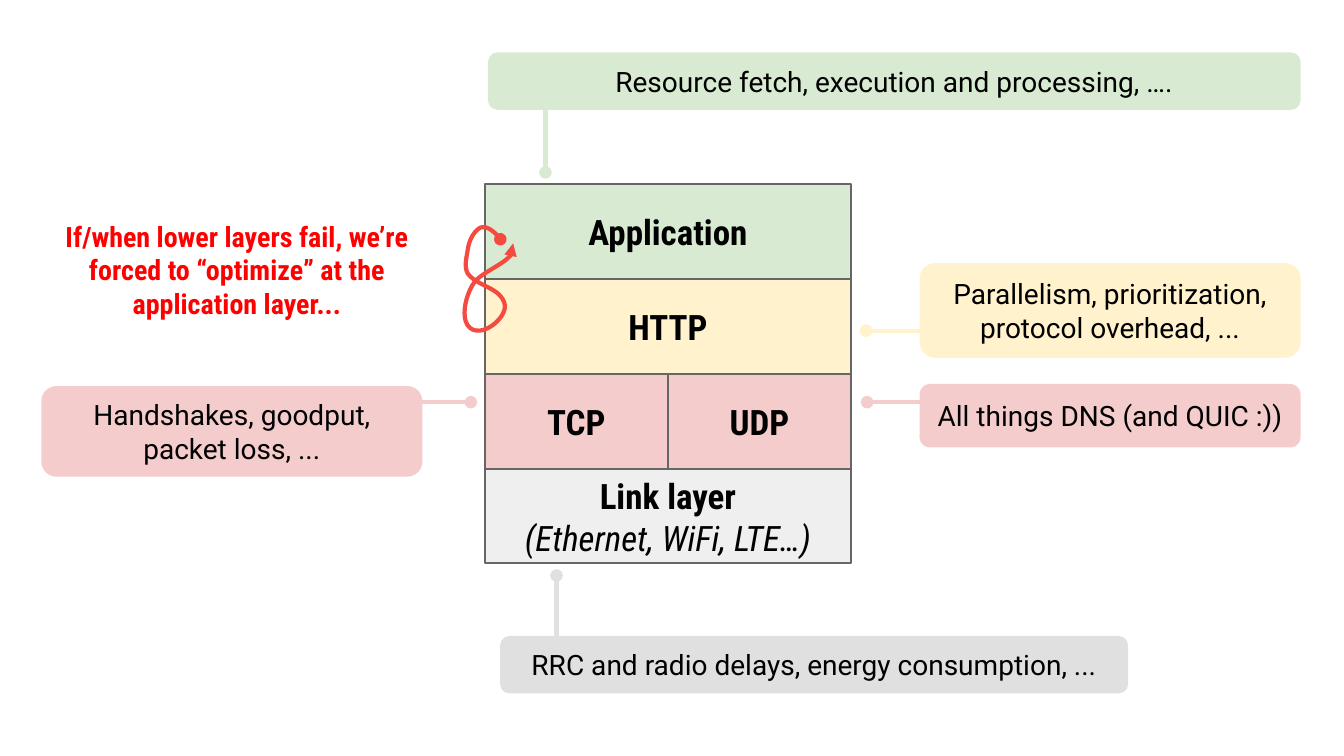
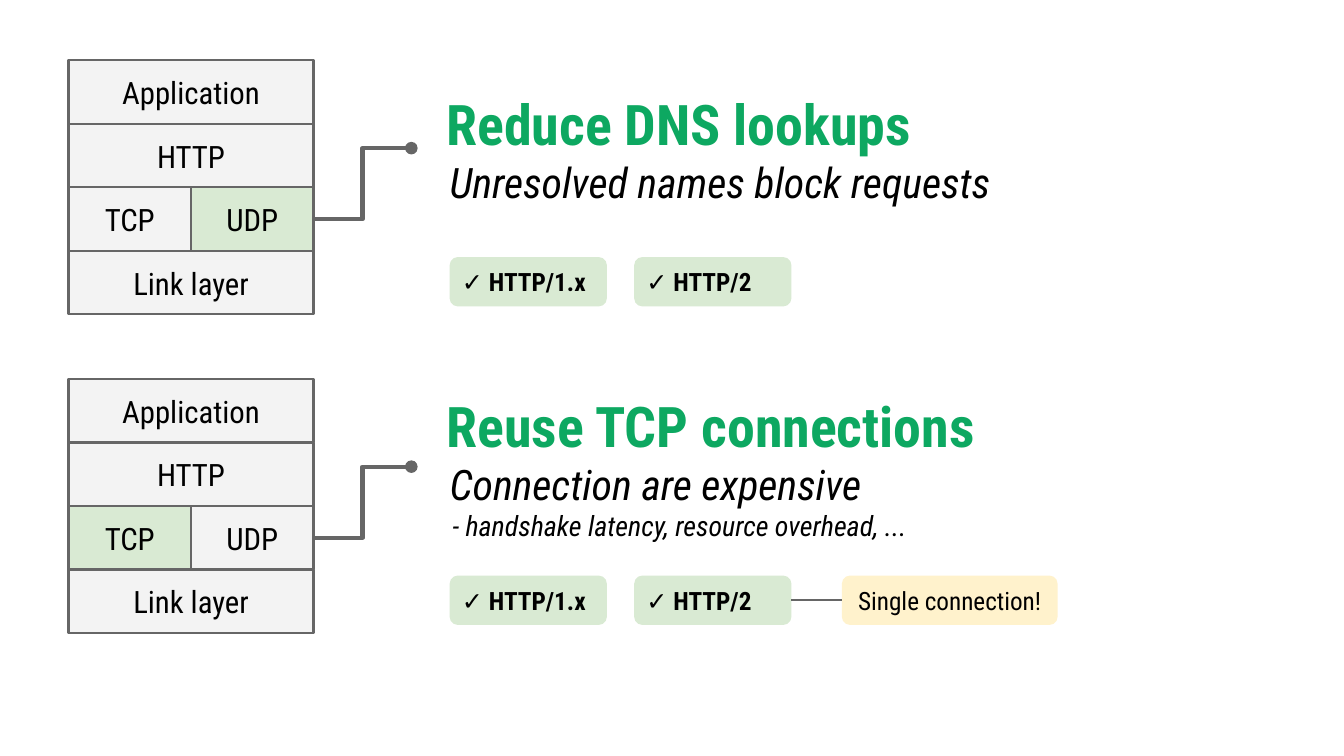
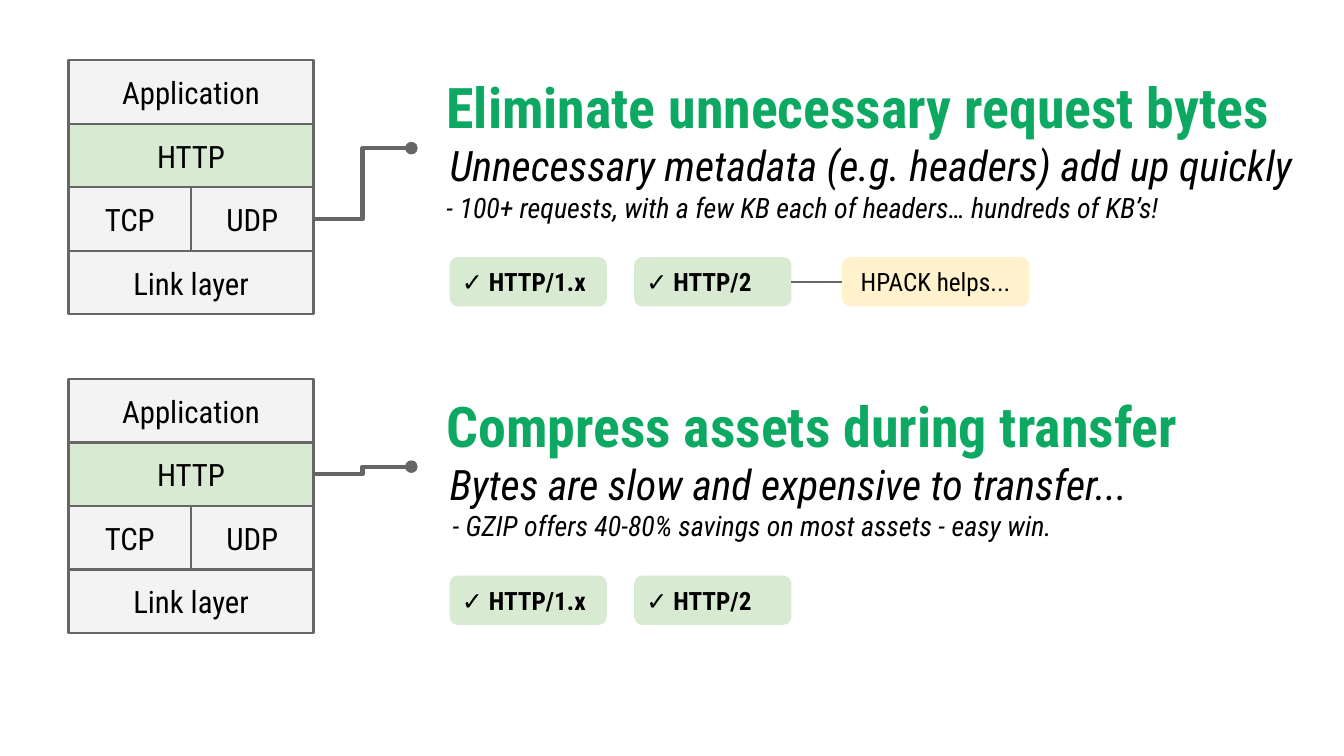
import collections

import lxml.etree
import pptx
import pptx.dml.color
import pptx.enum.shapes
import pptx.enum.text
import pptx.oxml.ns
import pptx.util

SHAPES = pptx.enum.shapes.MSO_SHAPE
CONNECTORS = pptx.enum.shapes.MSO_CONNECTOR
ALIGN = pptx.enum.text.PP_ALIGN
INCH = pptx.util.Inches

GREEN, YELLOW, PINK = "D9EAD3", "FFF2CC", "F4CCCC"
PALE, LINK_GRAY, NOTE_GRAY, EDGE = "F3F3F3", "EFEFEF", "E0E0E0", "666666"
HEADING, ALERT, CURL, BLACK = "0DA861", "FF0000", "F44A3F", "000000"
BODY, CONDENSED = "Roboto", "Roboto Condensed"

Box = collections.namedtuple("Box", "left top width height")
Line = collections.namedtuple(
    "Line", "text size color bold italic font indent",
    defaults=(BLACK, False, False, CONDENSED, 0))
Topic = collections.namedtuple("Topic", "active source lines callout callout_width",
                               defaults=(None, 0))


def rgb(value):
    """Turn a hex string into a colour."""
    return pptx.dml.color.RGBColor.from_string(value)


def inches(values):
    """Turn numbers into lengths."""
    return [INCH(value) for value in values]


def write(shape, lines, align):
    """Put one paragraph per line into a shape, centred vertically."""
    frame = shape.text_frame
    frame.word_wrap = True
    frame.vertical_anchor = pptx.enum.text.MSO_ANCHOR.MIDDLE
    frame.margin_left = frame.margin_right = INCH(0.1)
    frame.margin_top = frame.margin_bottom = INCH(0.1)
    for index, line in enumerate(lines):
        paragraph = frame.add_paragraph() if index else frame.paragraphs[0]
        paragraph.text = line.text
        paragraph.alignment = align
        if line.indent:
            paragraph._p.get_or_add_pPr().set("marL", str(INCH(line.indent)))
        font = paragraph.font
        font.name, font.size = line.font, pptx.util.Pt(line.size)
        font.bold, font.italic = line.bold, line.italic
        font.color.rgb = rgb(line.color)


def add_block(slide, kind, box, fill, lines, align=ALIGN.CENTER, edge=None):
    """Add a filled shape with text and an optional outline."""
    shape = slide.shapes.add_shape(kind, *inches(box))
    shape.shadow.inherit = False
    shape.fill.solid()
    shape.fill.fore_color.rgb = rgb(fill)
    if edge:
        style_line(shape, edge, 1.5)
    else:
        shape.line.fill.background()
    write(shape, lines, align)
    return shape


def add_text(slide, box, lines, align):
    """Add a plain text box."""
    write(slide.shapes.add_textbox(*inches(box)), lines, align)


def style_line(shape, color, width, head=None, tail=None):
    """Set a line's colour, width and end marks."""
    shape.line.color.rgb = rgb(color)
    shape.line.width = pptx.util.Pt(width)
    outline = shape.element.spPr.find(pptx.oxml.ns.qn("a:ln"))
    for tag, mark in (("a:headEnd", head), ("a:tailEnd", tail)):
        if mark:
            end = lxml.etree.SubElement(outline, pptx.oxml.ns.qn(tag))
            end.set("type", mark)


def add_line(slide, kind, start, end, color, width, head=None, tail=None):
    """Add a connector without a shadow."""
    connector = slide.shapes.add_connector(kind, *inches(start + end))
    style_line(connector, color, width, head, tail)
    lxml.etree.SubElement(connector.element.spPr, pptx.oxml.ns.qn("a:effectLst"))
    return connector


def add_stack(slide, box, fills, size, bold=False, link_note=()):
    """Draw the protocol layers on four rows and two columns."""
    row, half = box.height / 4, box.width / 2
    cells = {
        "Application": (0, 0, 2), "HTTP": (1, 0, 2), "TCP": (2, 0, 1),
        "Link layer": (3, 0, 2), "UDP": (2, 1, 1),
    }
    layers = {}
    for name, (level, column, span) in cells.items():
        cell = Box(box.left + column * half, box.top + level * row, span * half, row)
        lines = [Line(name, size, bold=bold)]
        if name == "Link layer":
            lines.extend(link_note)
        layers[name] = add_block(slide, SHAPES.RECTANGLE, cell, fills.get(name, PALE),
                                 lines, edge=EDGE)
    return layers


def add_note(slide, box, color, text, dot, end):
    """Draw a rounded note and the dotted lead to its layer."""
    add_line(slide, CONNECTORS.STRAIGHT, dot, end, color, 3, head="oval")
    add_block(slide, SHAPES.ROUNDED_RECTANGLE, box, color, [Line(text, 20, font=BODY)])


def add_curl(slide, box):
    """Draw the looping arrow from sampled cubic curves."""
    knots = [
        (0.72, 0.12), (0.63, 0.06), (0.45, -0.02), (0.31, 0.01),
        (0.16, 0.05), (0.08, 0.15), (0.06, 0.22), (0.04, 0.29), (-0.02, 0.38), (0.06, 0.45),
        (0.24, 0.57), (0.69, 0.58), (0.8, 0.73), (0.9, 0.85), (0.43, 1.05), (0.16, 0.99),
        (-0.12, 0.93), (0, 0.66), (0.2, 0.53), (0.43, 0.4), (1.1, 0.32), (0.98, 0.16),
    ]
    knots = [(INCH(box.left + x * box.width), INCH(box.top + y * box.height))
             for x, y in knots]
    steps = 12
    points = []
    for first in range(0, len(knots) - 1, 3):
        for step in range(1, steps + 1):
            t = step / steps
            weights = ((1 - t) ** 3, 3 * t * (1 - t) ** 2, 3 * t * t * (1 - t), t ** 3)
            curve = list(zip(weights, knots[first:first + 4]))
            points.append(tuple(sum(w * knot[axis] for w, knot in curve) for axis in (0, 1)))
    builder = slide.shapes.build_freeform(*knots[0])
    builder.add_line_segments(points, close=False)
    curl = builder.convert_to_shape()
    curl.shadow.inherit = False
    curl.fill.background()
    style_line(curl, CURL, 3, "oval", "triangle")


def add_overview(slide):
    """Build the slide that explains each layer's costs."""
    stack = Box(4.81, 1.83, 3.63, 3.76)
    fills = {"Application": GREEN, "HTTP": YELLOW, "TCP": PINK, "UDP": PINK,
             "Link layer": LINK_GRAY}
    add_stack(slide, stack, fills, 25, True,
              [Line("(Ethernet, WiFi, LTE…)", 25, italic=True)])
    right, bottom = stack.left + stack.width, stack.top + stack.height
    notes = [
        (Box(4.96, 6.31, 6.23, 0.57), NOTE_GRAY,
         "RRC and radio delays, energy consumption, ...",
         (5.52, bottom + 0.12), (5.52, 6.41)),
        (Box(9.12, 3.81, 3.78, 0.63), PINK, "All things DNS (and QUIC :))",
         (right + 0.16, 3.99), (9.17, 3.99)),
        (Box(0.41, 3.83, 3.78, 0.9), PINK, "Handshakes, goodput, packet loss, ...",
         (stack.left - 0.14, 3.99), (4.09, 3.99)),
        (Box(4.84, 0.52, 8.06, 0.57), GREEN,
         "Resource fetch, execution and processing, ….",
         (5.41, stack.top - 0.12), (5.41, 1.07)),
        (Box(9.12, 2.61, 3.78, 0.94), YELLOW,
         "Parallelism, prioritization, protocol overhead, ...",
         (right + 0.15, 3.28), (9.17, 3.28)),
    ]
    for note in notes:
        add_note(slide, *note)
    warning = ("If/when lower layers fail, we’re forced to “optimize” "
               "at the application layer...")
    add_text(slide, Box(0.41, 2.07, 3.88, 1.21), [Line(warning, 20, ALERT, True)],
             ALIGN.CENTER)
    add_curl(slide, Box(4.61, 2.25, 0.49, 1.03))


def add_topic(slide, box, topic):
    """Draw a small stack, its advice and the protocol chips."""
    stack = Box(box.left, box.top, 2.43, box.height)
    layers = add_stack(slide, stack, {topic.active: GREEN}, 22)
    text_left = box.left + 3.4
    add_text(slide, Box(text_left, box.top, box.width - 3.4, 1.74), topic.lines, ALIGN.LEFT)
    lead_end = (text_left, box.top + 0.87)
    lead = add_line(slide, CONNECTORS.ELBOW, (box.left + stack.width, lead_end[1]),
                    lead_end, EDGE, 3, tail="oval")
    lead.begin_connect(layers[topic.source], 3)

    chip_left, chip_top = box.left + 3.78, box.top + 1.95
    chip_width, chip_height, pitch = 1.56, 0.49, 1.83
    for index, label in enumerate(("✓ HTTP/1.x", "✓ HTTP/2")):
        chip_box = Box(chip_left + index * pitch, chip_top, chip_width, chip_height)
        chip = add_block(slide, SHAPES.ROUNDED_RECTANGLE, chip_box, GREEN,
                         [Line(label, 18, bold=True)], ALIGN.LEFT)
    if topic.callout:
        callout_box = Box(box.left + 7.67, chip_top, topic.callout_width, chip_height)
        callout = add_block(slide, SHAPES.ROUNDED_RECTANGLE, callout_box, YELLOW,
                            [Line(topic.callout, 18)])
        middle = chip_top + chip_height / 2
        link = add_line(slide, CONNECTORS.STRAIGHT, (callout_box.left, middle),
                        (chip_box.left + chip_width, middle), EDGE, 1.5)
        link.begin_connect(callout, 1)
        link.end_connect(chip, 3)


def advice(title, subtitle, note=None, note_indent=0.31):
    """Style a topic's title, subtitle and optional note."""
    lines = [Line(title, 40, HEADING, True, indent=0.25),
             Line(subtitle, 30, italic=True, indent=0.28)]
    if note:
        lines.append(Line(note, 20, italic=True, indent=note_indent))
    return lines


def add_topics(slide, topics):
    """Build a slide of topics, one below the other."""
    for index, topic in enumerate(topics):
        add_topic(slide, Box(0.68, 0.6 + index * 3.16, 12.52, 2.52), topic)


def main():
    """Build and save the presentation."""
    presentation = pptx.Presentation()
    presentation.slide_width, presentation.slide_height = inches((13.33, 7.5))
    blank = presentation.slide_layouts[6]
    add_overview(presentation.slides.add_slide(blank))
    topic_slides = [
        [Topic("UDP", "UDP", advice("Reduce DNS lookups", "Unresolved names block requests")),
         Topic("TCP", "UDP",
               advice("Reuse TCP connections", "Connection are expensive",
                      "- handshake latency, resource overhead, ..."),
               "Single connection!", 2.14)],
        [Topic("HTTP", "UDP",
               advice("Eliminate unnecessary request bytes",
                      "Unnecessary metadata (e.g. headers) add up quickly",
                      "- 100+ requests, with a few KB each of headers… hundreds of KB’s!",
                      0.25),
               "HPACK helps...", 1.86),
         Topic("HTTP", "HTTP",
               advice("Compress assets during transfer",
                      "Bytes are slow and expensive to transfer...",
                      "- GZIP offers 40-80% savings on most assets - easy win."))],
    ]
    for topics in topic_slides:
        add_topics(presentation.slides.add_slide(blank), topics)
    presentation.save("out.pptx")


if __name__ == "__main__":
    main()
